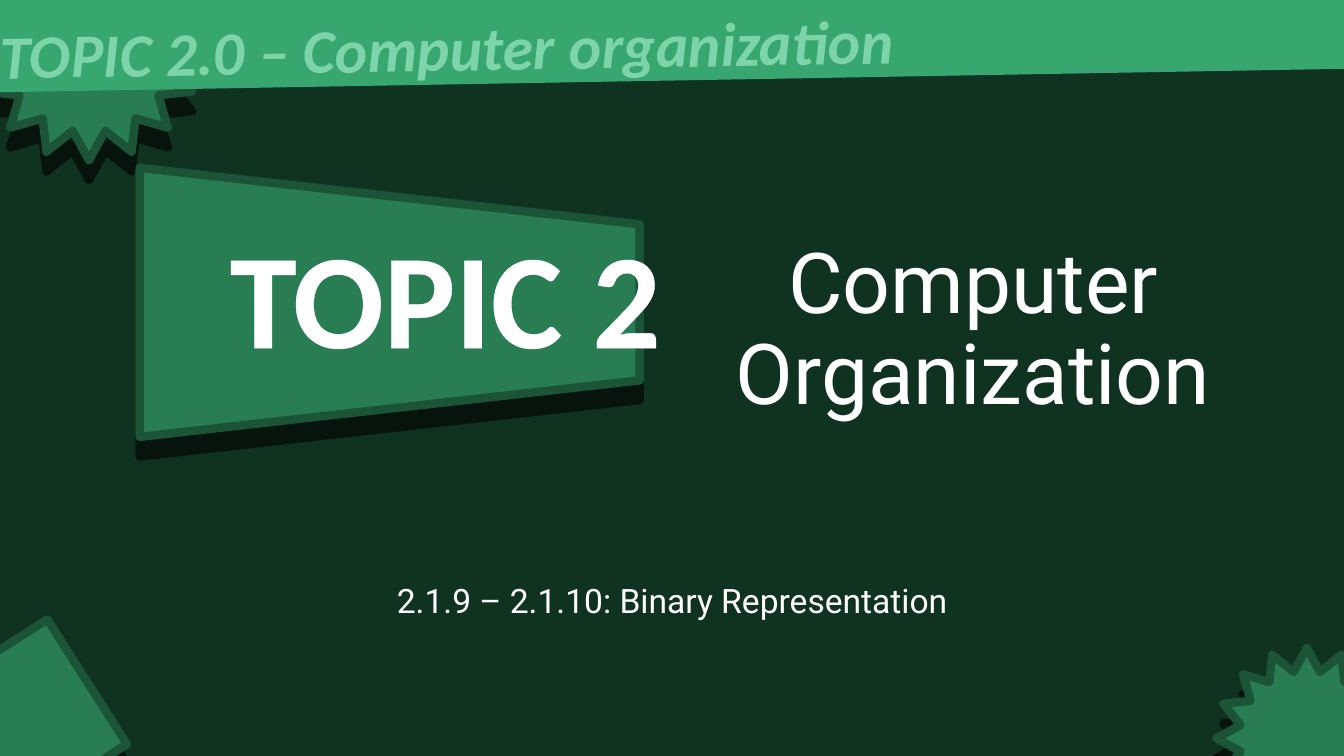
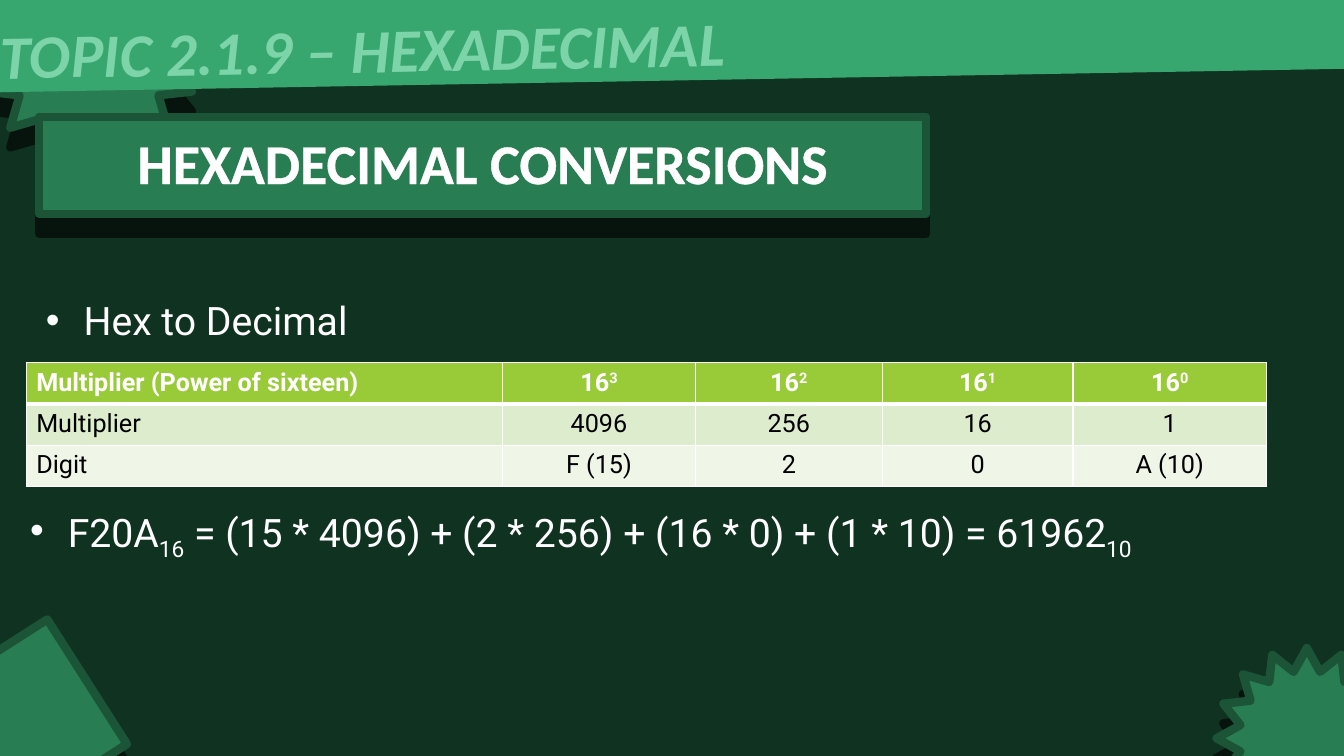
"""Build two slides on binary and hexadecimal representation."""
from lxml import etree
from pptx import Presentation, util as u
from pptx.dml.color import RGBColor
from pptx.enum import shapes as es, text as et
from pptx.oxml import ns

DARK, MID, EDGE, SHADE = "103221", "297D53", "1C5438", "06140D"
BAND, PALE, WHITE, BLACK = "37A76F", "7DD4A9", "FFFFFF", "000000"
FILLS = ["99CB38", "DEECCE", "EFF6E8"]
HEAD, BODY = "Calibri", "Roboto"
KIND = es.MSO_SHAPE
LEFT, MIDDLE = et.PP_ALIGN.LEFT, et.PP_ALIGN.CENTER
TOP, LOW = et.MSO_ANCHOR.TOP, et.MSO_ANCHOR.BOTTOM

DECOR = [
    (KIND.STAR_16_POINT, (-0.56, -1.57, 5.61, 5.61), 0),
    (KIND.RECTANGLE, (-1.45, 16.38, 3.96, 3.73), 327.4),
    (KIND.STAR_16_POINT, (30.66, 16.33, 4.55, 4.55), 0),
]
COLS = [12.01, 4.85, 4.72, 4.8, 4.88]
ROW = 1.04
ROWS = [
    ["Multiplier (Power of sixteen)"] + [[("16", 0), (p, 30)] for p in "3210"],
    ["Multiplier", "4096", "256", "16", "1"],
    ["Digit", "F (15)", "2", "0", "A (10)"],
]
SUM = [("F20A", 0), ("16", -25),
       (" = (15 * 4096) + (2 * 256) + (16 * 0) + (1 * 10) = 61962", 0), ("10", -25)]


def rgb(code):
    """Turn a hex string into a colour."""
    return RGBColor.from_string(code)


def node(parent, tag, **attrs):
    """Append a drawing element to a parent."""
    return etree.SubElement(parent, ns.qn("a:" + tag), {k: str(v) for k, v in attrs.items()})


def solid(parent, code):
    """Append a solid fill to a parent."""
    node(node(parent, "solidFill"), "srgbClr", val=code)


def write(frame, runs, size, color=WHITE, face=BODY, bold=False, italic=False,
          align=LEFT, anchor=TOP, space=None, bullet=False, outline=0):
    """Fill a text frame with one paragraph of formatted runs."""
    frame.word_wrap = True
    frame.vertical_anchor = anchor
    para = frame.paragraphs[0]
    para.alignment = align
    if space:
        para.line_spacing = space
    if bullet:
        props = para._p.get_or_add_pPr()
        props.set("marL", str(u.Cm(0.95)))
        props.set("indent", str(u.Cm(-0.95)))
        node(props, "buFont", typeface="Arial")
        node(props, "buChar", char="•")
    for words, base in [(runs, 0)] if isinstance(runs, str) else runs:
        run = para.add_run()
        run.text = words
        font = run.font
        font.size, font.name, font.bold, font.italic = u.Pt(size), face, bold, italic
        font.color.rgb = rgb(color)
        props = run._r.get_or_add_rPr()
        if base:
            props.set("baseline", str(base * 1000))
        if outline:
            line = node(props, "ln", w=u.Pt(outline))
            solid(line, color)
            props.insert(0, line)


def place(shape, box, turn=0):
    """Set the bounds and rotation of a shape."""
    shape.left, shape.top, shape.width, shape.height = map(u.Cm, box)
    shape.rotation = turn
    return shape


def label(slide, box, runs, size, turn=0, **style):
    """Add a text box."""
    shape = place(slide.shapes.add_textbox(0, 0, 0, 0), box, turn)
    write(shape.text_frame, runs, size, **style)


def title(slide, box, words, size, **style):
    """Place the title in front of what is drawn so far."""
    shape = place(slide.shapes.title, box)
    slide.shapes._spTree.append(shape._element)
    shape.text_frame.auto_size = et.MSO_AUTO_SIZE.NONE
    write(shape.text_frame, words, size, align=MIDDLE, **style)


def block(slide, kind, box, turn=0, fill=MID, raised=True):
    """Add a filled shape, with edge and hard shadow if raised."""
    shape = place(slide.shapes.add_shape(kind, 0, 0, 0, 0), box, turn)
    shape.fill.solid()
    shape.fill.fore_color.rgb = rgb(fill)
    shape.shadow.inherit = False
    if not raised:
        shape.line.fill.background()
        return shape
    shape.line.color.rgb = rgb(EDGE)
    shape.line.width = u.Pt(6)
    effects = shape._element.spPr.find(ns.qn("a:effectLst"))
    cast = node(effects, "outerShdw", blurRad=0, dist=u.Pt(14), dir=90 * 60000,
                algn="t", rotWithShape=0)
    node(cast, "srgbClr", val=SHADE)
    return shape


def start(deck, topic):
    """Add a slide with the shared decoration and top band."""
    slide = deck.slides.add_slide(deck.slide_layouts[5])
    for part in DECOR:
        block(slide, *part)
    block(slide, KIND.RECTANGLE, (-0.56, -1.73, 35.2, 3.76), 359, BAND, False)
    label(slide, (-0.25, -0.03, 40.31, 2.13), topic, 44, 359, color=PALE,
          face=HEAD, bold=True, italic=True, outline=1.5)
    return slide


def border(cell, low):
    """Draw white borders round a cell."""
    props = cell._tc.get_or_add_tcPr()
    for i, side in enumerate(("lnL", "lnR", "lnT", "lnB")):
        line = node(props, side, w=u.Pt(low if side == "lnB" else 1))
        solid(line, WHITE)
        props.insert(i, line)


def grid(slide):
    """Add the table of place values."""
    frame = slide.shapes.add_table(len(ROWS), len(COLS), u.Cm(0.66), u.Cm(9.14),
                                   u.Cm(sum(COLS)), u.Cm(ROW * len(ROWS)))
    table = frame.table
    for col, wide in zip(table.columns, COLS):
        col.width = u.Cm(wide)
    for r, (row, fill) in enumerate(zip(ROWS, FILLS)):
        table.rows[r].height = u.Cm(ROW)
        for c, runs in enumerate(row):
            cell = table.cell(r, c)
            cell.fill.solid()
            cell.fill.fore_color.rgb = rgb(fill)
            border(cell, 1 if r else 3)
            write(cell.text_frame, runs, 18, color=BLACK if r else WHITE,
                  bold=not r, align=MIDDLE if c else LEFT)


def cover(deck):
    """Build the topic slide."""
    slide = start(deck, "TOPIC 2.0 – Computer organization")
    title(slide, (16.46, 2.92, 16.13, 7.85), "Computer Organization", 60,
          anchor=LOW, space=0.9)
    label(slide, (4.24, 14.6, 25.4, 1.98), "2.1.9 – 2.1.10: Binary Representation",
          24, align=MIDDLE, space=0.9)
    sign = block(slide, KIND.TRAPEZOID, (6.43, 1.32, 6.78, 12.6), 90)
    sign.adjustments[0] = 0.21
    label(slide, (2.21, 5.26, 18.03, 4.37), "TOPIC 2", 96, face=HEAD, bold=True,
          align=MIDDLE, outline=3)


def convert(deck):
    """Build the conversion slide."""
    slide = start(deck, "TOPIC 2.1.9 – HEXADECIMAL")
    block(slide, KIND.RECTANGLE, (0.99, 2.95, 22.35, 2.44))
    title(slide, (1.22, 3.1, 21.89, 3.68), "HEXADECIMAL CONVERSIONS", 40,
          face=HEAD, bold=True, outline=1.5)
    grid(slide)
    for box, runs in [((0.51, 12.7, 32.92, 5.54), SUM),
                      ((0.91, 7.47, 31.5, 1.5), "Hex to Decimal")]:
        label(slide, box, runs, 28, space=0.9, bullet=True)


def main():
    """Build and save the deck."""
    deck = Presentation()
    deck.slide_width, deck.slide_height = u.Cm(33.87), u.Cm(19.05)
    back = deck.slide_master.background.fill
    back.solid()
    back.fore_color.rgb = rgb(DARK)
    cover(deck)
    convert(deck)
    deck.save("out.pptx")


if __name__ == "__main__":
    main()
